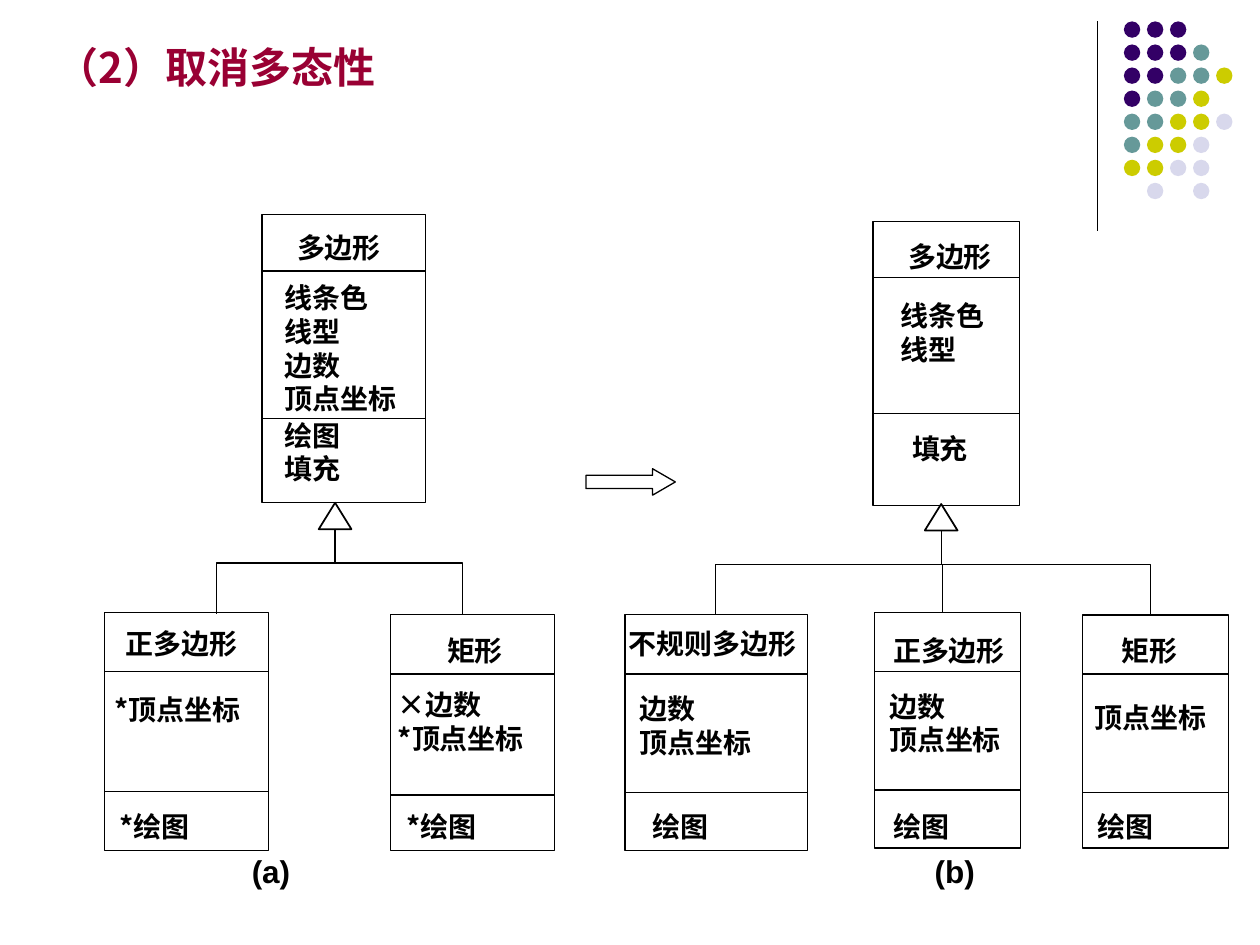
from lxml.etree import SubElement
from pptx import Presentation
from pptx.dml.color import RGBColor
from pptx.enum.shapes import MSO_CONNECTOR as CONNECTOR, MSO_SHAPE as SHAPE
from pptx.enum.text import MSO_ANCHOR as ANCHOR, MSO_AUTO_SIZE as AUTO_SIZE, PP_ALIGN as ALIGN
from pptx.oxml.ns import qn
from pptx.util import Pt

PX = 9144  # EMU per px, 100 px to the inch
COLORS = {"black": "000000", "white": "FFFFFF", "title": "990033",
          "P": "330066", "T": "669999", "Y": "CCCC00", "L": "D8D8EC"}
CJK, LATIN = "Noto Sans CJK SC", "Arial"

DOT_ROWS = ["PPP", "PPPT", "PPTTY", "PTTY", "TTYYL", "TYYL", "YYLL", " L L"]
DOT_LEFT, DOT_TOP, DOT_PITCH, DOT_SIZE = 892, 17, 18.3, 13

# Class box: left, top, width, height; divider heights; labels as (left, top, lines)
CLASSES = [
    ((208, 170, 130, 229), (215, 332),
     [(226, 178, ["多边形"]), (216, 218, ["线条色", "线型", "边数", "顶点坐标"]),
      (216, 327, ["绘图", "填充"])]),
    ((83, 486, 130, 189), (533, 628),
     [(90, 492, ["正多边形"]), (81, 545, ["*顶点坐标"]), (85, 638, ["*绘图"])]),
    ((310, 488, 130, 187), (535, 631),
     [(345, 498, ["矩形"]), (306, 541, ["×边数", "*顶点坐标"]), (313, 638, ["*绘图"])]),
    ((693, 176, 116, 225), (220, 328),
     [(711, 185, ["多边形"]), (705, 232, ["线条色", "线型"]), (714, 338, ["填充"])]),
    ((694, 486, 116, 187), (533, 627),
     [(699, 498, ["正多边形"]), (696, 542, ["边数", "顶点坐标"]), (699, 638, ["绘图"])]),
    ((859, 488, 116, 185), (535, 629),
     [(880, 498, ["矩形"]), (859, 551, ["顶点坐标"]), (861, 638, ["绘图"])]),
    ((496, 488, 145, 187), (535, 629),
     [(489, 492, ["不规则多边形"]), (498, 544, ["边数", "顶点坐标"]), (508, 638, ["绘图"])]),
]
# Inheritance tree: apex x, apex y, x of each outer child
TREES = [(266, 399, (367, 172)), (747, 400, (913, 568))]
HEAD_HALF_WIDTH, HEAD_HEIGHT, STEM, DROP = 13, 21, 27, 40
CAPTIONS = [(190, "(a)"), (732, "(b)")]
CAPTION_TOP, CAPTION_WIDTH, CAPTION_HEIGHT = 671, 54, 40


def color(name):
    return RGBColor.from_string(COLORS[name])


def paint(shape, fill=None, line=None, width=0.75):
    shape.shadow.inherit = False
    if fill:
        shape.fill.solid()
        shape.fill.fore_color.rgb = color(fill)
    else:
        shape.fill.background()
    if line:
        shape.line.color.rgb = color(line)
        shape.line.width = Pt(width)
    else:
        shape.line.fill.background()


def add_shape(slide, kind, box, **look):
    shape = slide.shapes.add_shape(kind, *(round(value * PX) for value in box))
    paint(shape, **look)
    return shape


def add_line(slide, *ends):
    line = slide.shapes.add_connector(CONNECTOR.STRAIGHT, *(value * PX for value in ends))
    line.line.color.rgb = color("black")
    line.line.width = Pt(0.75)
    SubElement(line._element.spPr, qn("a:effectLst"))


def add_path(slide, points, close=False, **look):
    builder = slide.shapes.build_freeform(*points[0], scale=PX)
    builder.add_line_segments(points[1:], close=close)
    paint(builder.convert_to_shape(), **look)


def add_text(slide, box, lines, size=16, font=CJK, ink="black", wrap=False):
    shape = slide.shapes.add_textbox(*(round(value * PX) for value in box))
    frame = shape.text_frame
    frame.word_wrap = wrap
    frame.auto_size = AUTO_SIZE.SHAPE_TO_FIT_TEXT
    frame.vertical_anchor = ANCHOR.TOP
    for index, line in enumerate(lines):
        paragraph = frame.paragraphs[0] if index == 0 else frame.add_paragraph()
        paragraph.alignment = ALIGN.LEFT
        run = paragraph.add_run()
        run.text = line
        run.font.size = Pt(size)
        run.font.bold = True
        run.font.name = font
        run.font.color.rgb = color(ink)
        SubElement(run._r.get_or_add_rPr(), qn("a:ea")).set("typeface", font)


def label_size(lines):
    """Width and height of a 16 pt label, with its insets."""
    widths = [sum(17 if char == "*" else 22.2 for char in line) for line in lines]
    return 20 + max(widths), 10 + 27 * len(lines)


def add_class(slide, box, dividers, labels):
    left, top, width, height = box
    add_shape(slide, SHAPE.RECTANGLE, box, fill="white", line="black")
    for y in dividers:
        add_line(slide, left, y, left + width, y)
    for x, y, lines in labels:
        add_text(slide, (x, y, *label_size(lines)), lines)


def add_tree(slide, x, y, children):
    base = y + HEAD_HEIGHT
    bar = base + STEM
    for child in children:
        add_path(slide, [(x, base), (x, bar), (child, bar), (child, bar + DROP)], line="black")
    add_path(slide, [(x - HEAD_HALF_WIDTH, base), (x + HEAD_HALF_WIDTH, base), (x, y)],
             close=True, fill="white", line="black", width=1)


def main():
    presentation = Presentation()
    presentation.slide_width, presentation.slide_height = 1000 * PX, 750 * PX
    slide = presentation.slides.add_slide(presentation.slide_layouts[6])

    add_line(slide, 871, 17, 871, 183)
    for row, dots in enumerate(DOT_ROWS):
        for column, dot in enumerate(dots):
            if dot != " ":
                place = (DOT_LEFT + column * DOT_PITCH, DOT_TOP + row * DOT_PITCH)
                add_shape(slide, SHAPE.OVAL, (*place, DOT_SIZE, DOT_SIZE), fill=dot)

    add_text(slide, (35, 28, 354, 50), ["（2）取消多态性"], size=24, ink="title", wrap=True)
    for left, caption in CAPTIONS:
        add_text(slide, (left, CAPTION_TOP, CAPTION_WIDTH, CAPTION_HEIGHT), [caption],
                 size=18, font=LATIN)

    for box, dividers, labels in CLASSES:
        add_class(slide, box, dividers, labels)
    arrow = add_shape(slide, SHAPE.RIGHT_ARROW, (465, 372, 71, 21), fill="white", line="black")
    arrow.adjustments[1] = 0.86
    for x, y, children in TREES:
        add_tree(slide, x, y, children)
    add_line(slide, 748, 448, 748, 486)

    presentation.save("out.pptx")


if __name__ == "__main__":
    main()
